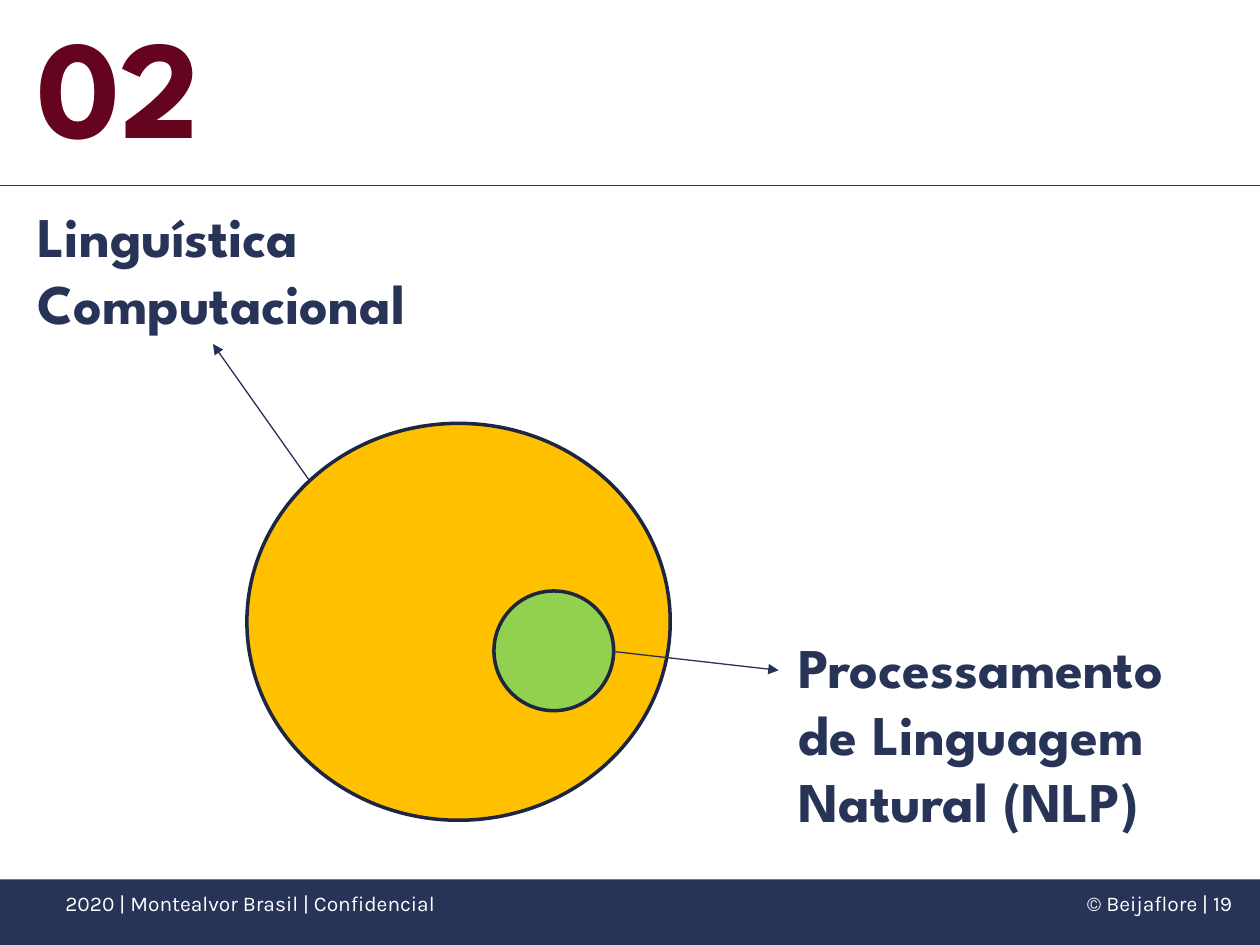
from lxml import etree
from pptx import Presentation
from pptx import util as u
from pptx.dml.color import RGBColor
from pptx.enum import shapes, text
from pptx.oxml import ns

WIDTH, HEIGHT = u.Inches(10), u.Inches(7.5)
COLUMNS, ROWS = 100, 75
NAVY = RGBColor(0x27, 0x34, 0x57)
OUTLINE = RGBColor(0x1D, 0x26, 0x40)
ARROW = RGBColor(0x25, 0x32, 0x56)
WINE = RGBColor(0x64, 0x04, 0x1F)
AMBER = RGBColor(0xFF, 0xC0, 0x00)
GREEN = RGBColor(0x92, 0xD0, 0x50)
WHITE = RGBColor(0xFF, 0xFF, 0xFF)

HEADING = {"name": "League Spartan", "size": u.Pt(32), "bold": True}
NUMBER = {**HEADING, "size": u.Pt(80)}
FOOTER = {"name": "Karla", "size": u.Pt(12)}


def cells(*grid):
    """Turn alternating column and row counts into slide lengths."""
    steps = (WIDTH / COLUMNS, HEIGHT / ROWS)
    return [u.Emu(round(count * steps[i % 2])) for i, count in enumerate(grid)]


def add_figure(page, kind, grid, fill, outline=None):
    """Add a filled preset shape, outlined if a colour is given."""
    figure = page.shapes.add_shape(kind, *cells(*grid))
    figure.shadow.inherit = False
    figure.fill.solid()
    figure.fill.fore_color.rgb = fill
    if outline is None:
        figure.line.fill.background()
    else:
        figure.line.color.rgb = outline
        figure.line.width = u.Pt(2)


def add_label(page, grid, lines, font, color, align=text.PP_ALIGN.LEFT,
              anchor=text.MSO_ANCHOR.TOP, inset_top=0.05):
    """Add a wrapped text box with one paragraph per line."""
    box = page.shapes.add_textbox(*cells(*grid))
    frame = box.text_frame
    layout = {"word_wrap": True, "vertical_anchor": anchor,
              "margin_top": u.Inches(inset_top)}
    for name, value in layout.items():
        setattr(frame, name, value)
    for index, line in enumerate(lines):
        para = frame.add_paragraph() if index else frame.paragraphs[0]
        para.alignment = align
        span = para.add_run()
        span.text = line
        for name, value in font.items():
            setattr(span.font, name, value)
        span.font.color.rgb = color


def add_line(page, grid, color, arrow=False):
    """Add a thin straight line, with an arrowhead at its end if asked."""
    line = page.shapes.add_connector(shapes.MSO_CONNECTOR.STRAIGHT, *cells(*grid))
    line.line.color.rgb = color
    line.line.width = u.Pt(0.75)
    if arrow:
        etree.SubElement(line.line._get_or_add_ln(), ns.qn("a:tailEnd"), type="triangle")
    etree.SubElement(line._element.spPr, ns.qn("a:effectLst"))


def add_frame(page):
    """Add the footer bar, its texts, the rule and the section number."""
    add_figure(page, shapes.MSO_SHAPE.RECTANGLE, (0, 69.8, 100, 5.2), NAVY)
    add_line(page, (0, 14.7, 100, 14.7), NAVY)
    add_label(page, (75.5, 69.5, 23.3, 4), ["© Beijaflore | 19"], FOOTER, WHITE,
              align=text.PP_ALIGN.RIGHT, inset_top=0.12)
    add_label(page, (4.2, 69.5, 46.5, 4), ["2020 | Montealvor Brasil | Confidencial"],
              FOOTER, WHITE, inset_top=0.12)
    add_label(page, (2, -1.1, 19.4, 14.8), ["02"], NUMBER, WINE,
              anchor=text.MSO_ANCHOR.BOTTOM, inset_top=0.08)


def add_diagram(page):
    """Add the nested fields and the arrows to their names."""
    add_figure(page, shapes.MSO_SHAPE.OVAL, (19.6, 33.6, 33.6, 31.5), AMBER, OUTLINE)
    add_figure(page, shapes.MSO_SHAPE.OVAL, (39.2, 46.9, 9.5, 9.5), GREEN, OUTLINE)
    add_line(page, (24.6, 38.2, 16.9, 27.3), ARROW, arrow=True)
    add_line(page, (48.6, 51.7, 61.8, 53.2), ARROW, arrow=True)
    add_label(page, (2, 15.5, 36.3, 11.8), ["Linguística", "Computacional"], HEADING, NAVY)
    add_label(page, (62.4, 49.7, 36.3, 17.2),
              ["Processamento", "de Linguagem", "Natural (NLP)"], HEADING, NAVY)


def main():
    """Build the slide and save the deck."""
    deck = Presentation()
    deck.slide_width, deck.slide_height = WIDTH, HEIGHT
    page = deck.slides.add_slide(deck.slide_layouts[6])
    add_frame(page)
    add_diagram(page)
    deck.save("out.pptx")


if __name__ == "__main__":
    main()
